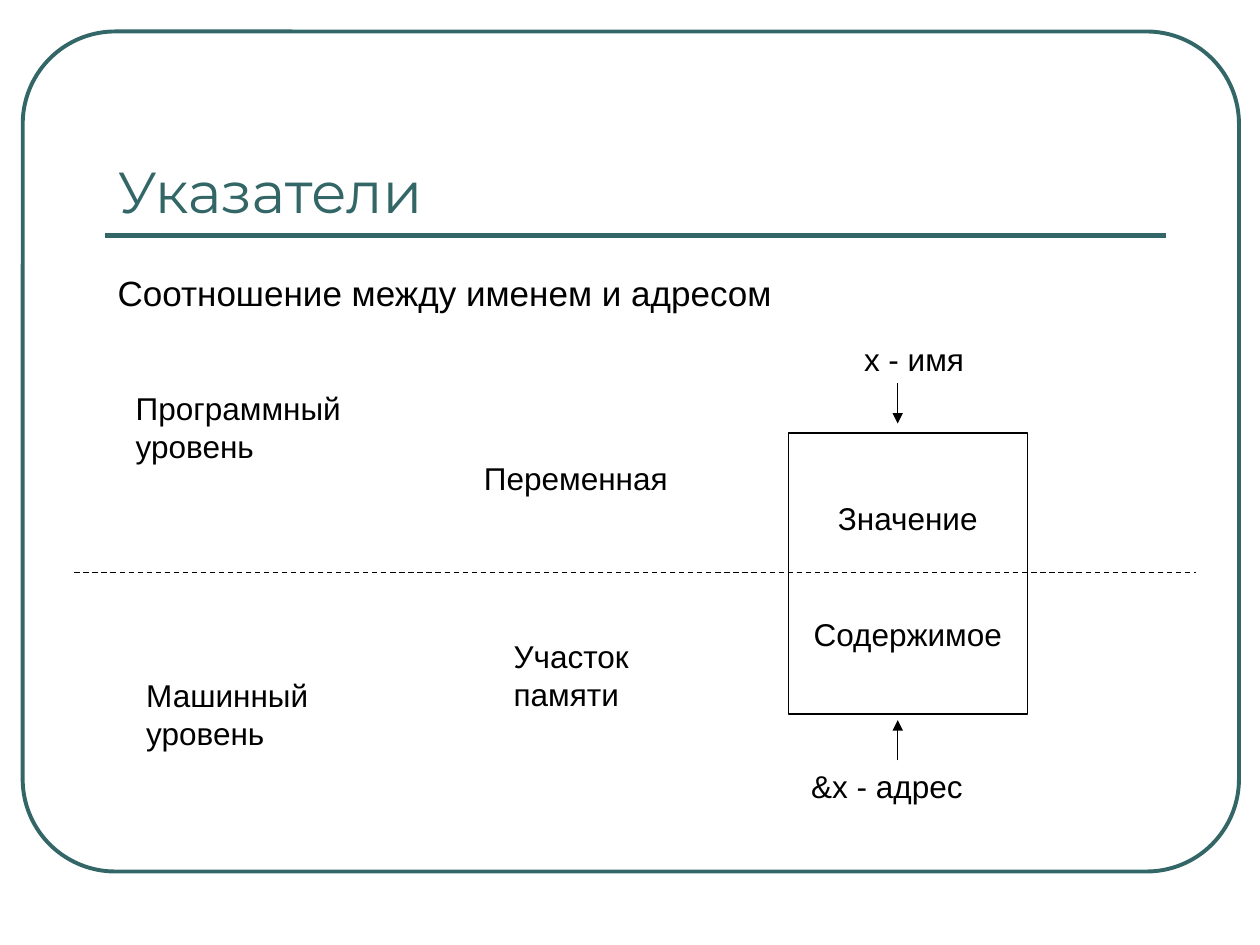
from lxml import etree
from pptx import Presentation
from pptx.dml.color import RGBColor
from pptx.enum.dml import MSO_LINE
from pptx.enum.shapes import MSO_CONNECTOR, MSO_SHAPE
from pptx.enum.text import MSO_ANCHOR, MSO_AUTO_SIZE, PP_ALIGN
from pptx.oxml.ns import qn
from pptx.util import Pt

TEAL = RGBColor(0x33, 0x66, 0x66)
BLACK = RGBColor(0, 0, 0)
LEFT, CENTER, RIGHT = PP_ALIGN.LEFT, PP_ALIGN.CENTER, PP_ALIGN.RIGHT
TOP, BOTTOM = MSO_ANCHOR.TOP, MSO_ANCHOR.BOTTOM
NO_AUTOFIT = MSO_AUTO_SIZE.NONE
STRAIGHT = MSO_CONNECTOR.STRAIGHT
DASH = MSO_LINE.DASH
RECTANGLE, ROUNDED = MSO_SHAPE.RECTANGLE, MSO_SHAPE.ROUNDED_RECTANGLE

# Left, top, width, height, text, alignment
LABELS = [
    (70.5, 219, 136, 50.5, "Программный уровень", LEFT),
    (76.5, 383, 136, 50.5, "Машинный уровень", LEFT),
    (269.5, 258.5, 124.5, 29, "Переменная", LEFT),
    (286.5, 360.5, 96.5, 50.5, "Участок памяти", LEFT),
    (473, 191, 85, 29, "x - имя", RIGHT),
    (456.5, 434.5, 136, 29, "&x - адрес", LEFT),
]


def write_text(shape, *lines, font="Arial", size=18, color=BLACK,
               align=LEFT, anchor=TOP, top_inset=3.6, gap=0):
    """Fill a shape with one paragraph per line, gap points apart."""
    frame = shape.text_frame
    frame.word_wrap = True
    frame.auto_size = NO_AUTOFIT
    frame.vertical_anchor = anchor
    frame.margin_top = Pt(top_inset)
    frame.text = "\n".join(lines)
    for number, paragraph in enumerate(frame.paragraphs):
        paragraph.alignment = align
        paragraph.space_before = Pt(gap if number else 0)
        paragraph.font.name = font
        paragraph.font.size = Pt(size)
        paragraph.font.color.rgb = color


def place(shape, left, top, width, height):
    shape.left, shape.top = Pt(left), Pt(top)
    shape.width, shape.height = Pt(width), Pt(height)


def remove_bullet(paragraph):
    properties = paragraph._p.get_or_add_pPr()
    properties.set("marL", "0")
    properties.set("indent", "0")
    etree.SubElement(properties, qn("a:buNone"))


def add_outline(slide, kind, left, top, width, height, color, weight):
    outline = slide.shapes.add_shape(kind, Pt(left), Pt(top), Pt(width), Pt(height))
    outline.shadow.inherit = False
    outline.fill.background()
    outline.line.color.rgb = color
    outline.line.width = Pt(weight)
    return outline


def add_line(slide, x1, y1, x2, y2, color=BLACK, weight=0.75, dash=None, arrow=False):
    connector = slide.shapes.add_connector(STRAIGHT, Pt(x1), Pt(y1), Pt(x2), Pt(y2))
    connector.line.color.rgb = color
    connector.line.width = Pt(weight)
    if dash:
        connector.line.dash_style = dash
    if arrow:
        etree.SubElement(connector.line._get_or_add_ln(), qn("a:tailEnd"), type="triangle")
    etree.SubElement(connector._element.spPr, qn("a:effectLst"))


def add_label(slide, left, top, width, height, text, align):
    label = slide.shapes.add_textbox(Pt(left), Pt(top), Pt(width), Pt(height))
    write_text(label, text, align=align)


def main():
    presentation = Presentation()
    presentation.slide_width, presentation.slide_height = Pt(720), Pt(540)
    slide = presentation.slides.add_slide(presentation.slide_layouts[1])

    frame = add_outline(slide, ROUNDED, 13, 18, 695, 480, TEAL, 2.25)
    frame.adjustments[0] = 0.11
    add_line(slide, 60, 134.5, 666, 134.5, TEAL, 3)

    title, subtitle = slide.placeholders
    place(title, 60, 42, 606, 90)
    write_text(title, "Указатели", font="Montserrat", size=33, color=TEAL, anchor=BOTTOM)
    place(subtitle, 60, 150, 391, 35)
    write_text(subtitle, "Соотношение между именем и адресом", size=20, top_inset=5)
    remove_bullet(subtitle.text_frame.paragraphs[0])

    for label in LABELS:
        add_label(slide, *label)

    memory_cell = add_outline(slide, RECTANGLE, 450.5, 247.5, 136.5, 160.5, BLACK, 0.75)
    write_text(memory_cell, "Значение", "Содержимое", align=CENTER, top_inset=37.5, gap=45)

    add_line(slide, 513, 219, 513, 242, arrow=True)
    add_line(slide, 513, 434.5, 513, 411.5, arrow=True)
    add_line(slide, 42.5, 327, 683.5, 327, dash=DASH)

    presentation.save("out.pptx")


if __name__ == "__main__":
    main()
